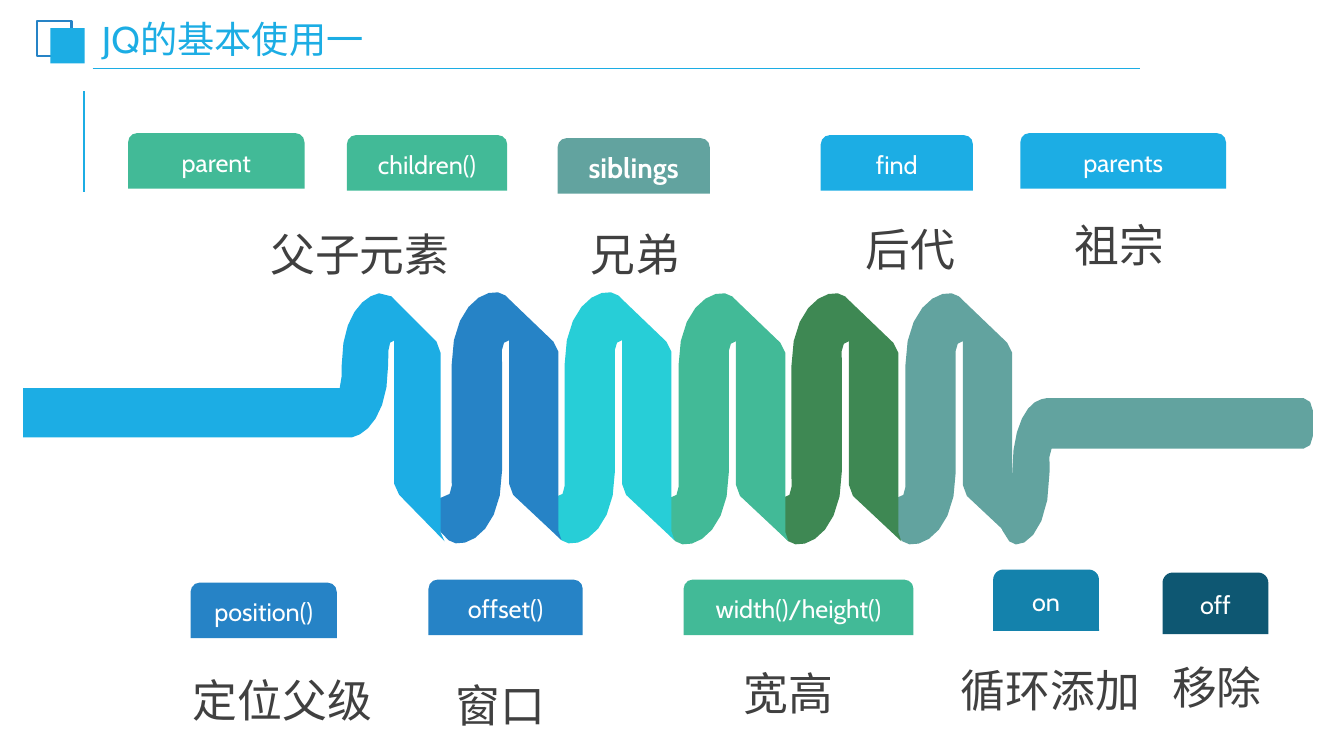
from math import ceil, dist

from lxml import etree
from pptx import Presentation
from pptx.dml.color import RGBColor
from pptx.enum.shapes import MSO_CONNECTOR as CONNECTOR, MSO_SHAPE as SHAPE
from pptx.enum.text import MSO_ANCHOR as ANCHOR, MSO_AUTO_SIZE as AUTO_SIZE, PP_ALIGN as ALIGN
from pptx.oxml.ns import qn
from pptx.util import Pt

PX = 9144  # 100 px to the inch
FONT = "Cabin"
COLORS = {
    "sky": "1CADE4", "blue": "2683C6", "cyan": "27CED7", "green": "42BA97",
    "forest": "3E8853", "gray": "62A39F", "ocean": "1482AC", "navy": "0E5772",
    "white": "FFFFFF", "text": "404040",
}
RGB = {name: RGBColor.from_string(value) for name, value in COLORS.items()}


def add_ribbon(outline, color, dx=0, dy=0):
    """Draw a closed outline: pairs are line ends, sextets are cubic Bezier curves."""
    points = [outline[0]]
    for segment in outline[1:]:
        if len(segment) == 2:
            points.append(segment)
            continue
        x0, y0 = points[-1]
        x1, y1, x2, y2, x3, y3 = segment
        steps = ceil(dist((x0, y0), (x3, y3)) / 14)
        for step in range(1, steps + 1):
            t = step / steps
            a, b, c, d = (1 - t) ** 3, 3 * t * (1 - t) ** 2, 3 * t * t * (1 - t), t ** 3
            points.append((a * x0 + b * x1 + c * x2 + d * x3,
                           a * y0 + b * y1 + c * y2 + d * y3))
    vertices = [(round((x + dx) * PX), round((y + dy) * PX)) for x, y in points]
    builder = slide.shapes.build_freeform(*vertices[0])
    builder.add_line_segments(vertices[1:], close=True)
    style_shape(builder.convert_to_shape(), color)


def style_shape(shape, color):
    shape.shadow.inherit = False
    shape.fill.solid()
    shape.fill.fore_color.rgb = RGB[color]
    shape.line.fill.background()


presentation = Presentation()
presentation.slide_width = 1333 * PX
presentation.slide_height = 750 * PX
slide = presentation.slides.add_slide(presentation.slide_layouts[5])

# Heading
for x1, y1, x2, y2, width in [(83, 190, 83, 90, 1.5), (92, 68, 1131, 68, 1.25)]:
    rule = slide.shapes.add_connector(CONNECTOR.STRAIGHT, x1 * PX, y1 * PX, x2 * PX, y2 * PX)
    rule.line.color.rgb = RGB["sky"]
    rule.line.width = Pt(width)
    etree.SubElement(rule._element.spPr, qn("a:effectLst"))

frame_square, solid_square = [
    slide.shapes.add_shape(SHAPE.RECTANGLE, x * PX, y * PX, 34 * PX, 35 * PX)
    for x, y in [(37, 21), (50, 28)]
]
frame_square.shadow.inherit = False
frame_square.fill.background()
frame_square.line.color.rgb = RGB["blue"]
frame_square.line.width = Pt(1.5)
style_shape(solid_square, "sky")

title = slide.shapes.title
title.left, title.top, title.width, title.height = 94 * PX, 23 * PX, 393 * PX, 37 * PX
title_frame = title.text_frame
title_frame.text = "JQ的基本使用一"
title_frame.auto_size = AUTO_SIZE.NONE
title_frame.vertical_anchor = ANCHOR.MIDDLE
title_frame.margin_left = title_frame.margin_right = 7 * PX
title_frame.margin_top = title_frame.margin_bottom = 4 * PX
paragraph = title_frame.paragraphs[0]
paragraph.alignment = ALIGN.LEFT
paragraph.line_spacing = 0.9
paragraph.runs[0].font.name = FONT
paragraph.runs[0].font.size = Pt(26.6)
paragraph.runs[0].font.color.rgb = RGB["sky"]

# Spring: an entry, five equal coils and an exit, the left parts in front
EXIT = [
    (1038, 395), (1293, 395), (1298, 395, 1302, 401, 1302, 407), (1302, 433),
    (1302, 440, 1298, 445, 1293, 445), (1043, 445),
    (1040, 448, 1041, 456, 1041, 468), (1041, 532, 1011, 548, 1001, 537),
    (995, 529, 985, 511, 987, 501), (988, 495, 995, 499, 1002, 490),
    (1004, 488, 1004, 480, 1004, 468), (1004, 420, 1020, 399, 1033, 396),
]
RISING = [
    (50, 467), (50, 362), (50, 350, 49, 342, 52, 340), (62, 331, 71, 335, 73, 329),
    (76, 319, 62, 301, 53, 293), (40, 282, 0, 298, 0, 362), (0, 467),
    (0, 479, 1, 487, -2, 490), (-12, 498, -21, 494, -23, 501),
    (-25, 510, -12, 529, -3, 536), (10, 547, 50, 531, 50, 467),
]
FALLING = [
    (106, 527), (106, 349), (106, 347, 105, 343, 101, 339), (53, 293),
    (54, 294, 57, 297, 57, 302), (57, 480), (57, 482, 57, 487, 61, 491),
    (109, 536),
]
ENTRY = [
    (376, 291), (381, 290, 385, 291, 388, 294), (396, 301, 409, 320, 407, 329),
    (405, 335, 396, 331, 387, 340), (385, 343, 385, 351, 385, 362),
    (385, 411, 364, 431, 349, 434), (23, 434), (23, 385), (337, 385),
    (339, 378, 339, 371, 339, 362), (339, 314, 360, 294, 376, 291),
]
ENTRY_FALLING = [
    (437, 528), (437, 350), (437, 348, 437, 343, 433, 339), (388, 294),
    (389, 294, 391, 298, 391, 302), (391, 480), (391, 482, 392, 487, 396, 491),
    (441, 537),
]
add_ribbon(EXIT, "gray")
coil_colors = ["blue", "cyan", "green", "forest", "gray"]
for index, color in reversed(list(enumerate(coil_colors))):
    for outline in (RISING, FALLING):
        add_ribbon(outline, color, 448 + index * 225 // 2, (index + 1) // 3)
for outline in (ENTRY, ENTRY_FALLING):
    add_ribbon(outline, "sky")

# Method tabs
tabs = [
    ("parent", 127, 132, 175, 55, "green"),
    ("children()", 344, 134, 159, 55, "green"),
    ("siblings", 553, 137, 151, 55, "gray"),
    ("find", 814, 134, 151, 55, "sky"),
    ("parents", 1012, 132, 204, 55, "sky"),
    ("position()", 189, 578, 145, 55, "blue"),
    ("offset()", 425, 575, 153, 55, "blue"),
    ("width()/height()", 678, 575, 228, 55, "green"),
    ("on", 985, 565, 105, 61, "ocean"),
    ("off", 1153, 568, 105, 61, "navy"),
]
for label, left, top, width, height, color in tabs:
    tab = slide.shapes.add_shape(
        SHAPE.ROUND_2_SAME_RECTANGLE, left * PX, top * PX, width * PX, height * PX)
    style_shape(tab, color)
    tab.text_frame.text = label
    tab.text_frame.vertical_anchor = ANCHOR.MIDDLE
    paragraph = tab.text_frame.paragraphs[0]
    paragraph.alignment = ALIGN.CENTER
    font = paragraph.runs[0].font
    font.name = FONT
    font.bold = label == "siblings"
    font.size = Pt(20 if font.bold else 18)
    font.color.rgb = RGB["white"]

# Captions
captions = [
    ("父子元素", 226, 204), ("兄弟", 499, 204), ("后代", 772, 199), ("祖宗", 979, 195),
    ("定位父级", 149, 646), ("窗口", 365, 651), ("宽高", 651, 640),
    ("循环添加", 911, 637), ("移除", 1076, 634),
]
for caption, left, top in captions:
    box = slide.shapes.add_textbox(left * PX, top * PX, 262 * PX, 75 * PX)
    box.text_frame.text = caption
    box.text_frame.word_wrap = True
    box.text_frame.auto_size = AUTO_SIZE.SHAPE_TO_FIT_TEXT
    paragraph = box.text_frame.paragraphs[0]
    paragraph.alignment = ALIGN.CENTER
    paragraph.line_spacing = 1.3
    font = paragraph.runs[0].font
    font.name = FONT
    font.size = Pt(32)
    font.color.rgb = RGB["text"]

presentation.save("out.pptx")
